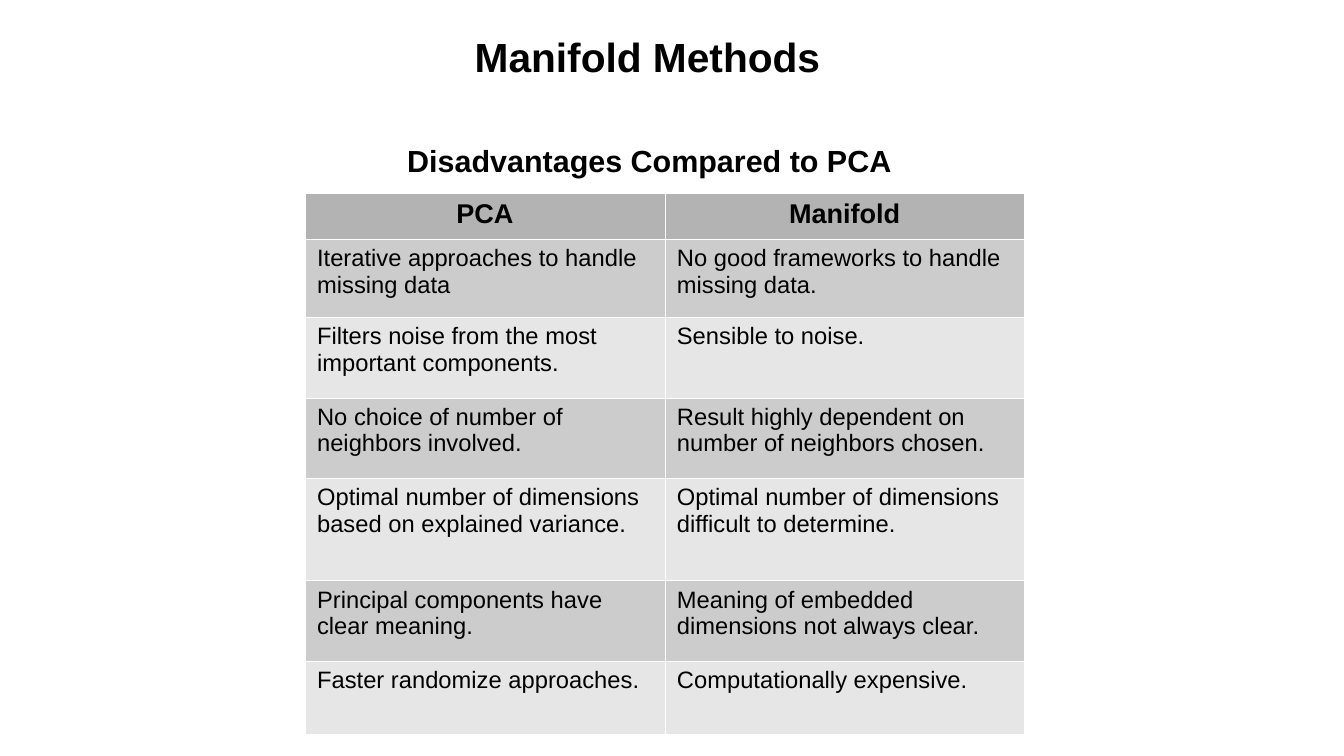
from lxml import etree
from pptx import Presentation
from pptx.dml.color import RGBColor
from pptx.enum.text import MSO_ANCHOR as ANCHOR, MSO_AUTO_SIZE as AUTO, PP_ALIGN as ALIGN
from pptx.oxml.ns import qn
from pptx.util import Pt


def rgb(value):
    return RGBColor.from_string(value)


def write(tf, text, size=14, bold=False, align=ALIGN.LEFT, spacing=1.0):
    tf.word_wrap = True
    p = tf.paragraphs[0]
    p.alignment, p.line_spacing = align, spacing
    r = p.add_run()
    r.text = text
    r.font.name, r.font.size, r.font.bold = "Arial", Pt(size), bold
    r.font.color.rgb = rgb("000000")


prs = Presentation()
prs.slide_width, prs.slide_height = Pt(793.4), Pt(446.4)
s = prs.slides.add_slide(prs.slide_layouts[5])

# Title
title = s.shapes.title
title.left, title.top, title.width, title.height = Pt(273), Pt(0.7), Pt(504.7), Pt(46.8)
title.text_frame.auto_size = AUTO.NONE
title.text_frame.vertical_anchor = ANCHOR.TOP
write(title.text_frame, "Manifold Methods", size=24, bold=True, spacing=1.5)

# Table heading
heading = s.shapes.add_textbox(Pt(233.3), Pt(69.8), Pt(324.7), Pt(43.2))
write(heading.text_frame, "Disadvantages Compared to PCA", size=18, bold=True, spacing=1.5)

# Comparison table: row height, PCA, Manifold
rows = [
    (27.4, "PCA", "Manifold"),
    (46.1, "Iterative approaches to handle missing data",
     "No good frameworks to handle missing data."),
    (47.5, "Filters noise from the most important components.", "Sensible to noise."),
    (47.5, "No choice of number of neighbors involved.",
     "Result highly dependent on number of neighbors chosen."),
    (60.5, "Optimal number of dimensions based on explained variance.",
     "Optimal number of dimensions difficult to determine."),
    (47.5, "Principal components have clear meaning.",
     "Meaning of embedded dimensions not always clear."),
    (43.2, "Faster randomize approaches.", "Computationally expensive."),
]
total = sum(row[0] for row in rows)
table = s.shapes.add_table(len(rows), 2, Pt(180), Pt(113.8), Pt(424.8), Pt(total)).table

for i, (height, *texts) in enumerate(rows):
    table.rows[i].height = Pt(height)
    header = i == 0
    fill = "B3B3B3" if header else ("E6E6E6", "CCCCCC")[i % 2]
    for j, text in enumerate(texts):
        cell = table.cell(i, j)
        write(cell.text_frame, text, size=16 if header else 14, bold=header,
              align=ALIGN.CENTER if header else ALIGN.LEFT)
        cell.margin_left = cell.margin_right = Pt(7.2)
        cell.margin_top = cell.margin_bottom = Pt(3.6)

        # Thin white borders, placed ahead of the fill
        tcPr = cell._tc.get_or_add_tcPr()
        for side in ("L", "R", "T", "B"):
            ln = etree.SubElement(tcPr, qn(f"a:ln{side}"), w=str(Pt(0.06)))
            solid = etree.SubElement(ln, qn("a:solidFill"))
            etree.SubElement(solid, qn("a:srgbClr"), val="FFFFFF")
        cell.fill.solid()
        cell.fill.fore_color.rgb = rgb(fill)

prs.save("out.pptx")
